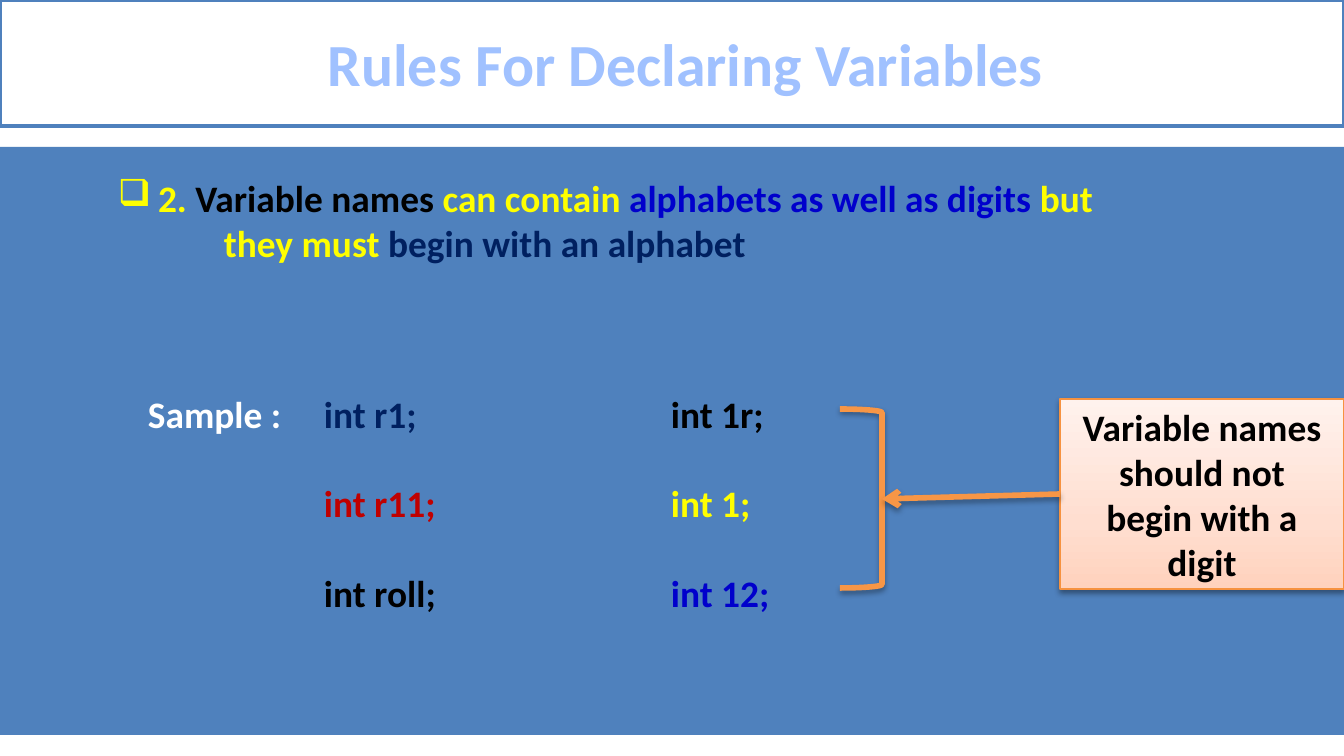
from lxml import etree
from pptx import Presentation
from pptx.dml.color import RGBColor
from pptx.enum.shapes import MSO_CONNECTOR, MSO_SHAPE
from pptx.enum.text import MSO_ANCHOR, PP_ALIGN
from pptx.oxml.ns import qn
from pptx.util import Pt

PX = 914400 / 134.4
RECTANGLE = MSO_SHAPE.RECTANGLE
BRACKET = MSO_SHAPE.RIGHT_BRACKET
STRAIGHT = MSO_CONNECTOR.STRAIGHT
CENTER, LEFT = PP_ALIGN.CENTER, PP_ALIGN.LEFT
MIDDLE, TOP = MSO_ANCHOR.MIDDLE, MSO_ANCHOR.TOP

BLUE, ORANGE, BLACK, WHITE = "4F81BD", "F79646", "000000", "FFFFFF"
YELLOW, INK, NAVY, RED = "FFFF00", "0000CC", "002060", "C00000"


def px(length):
    return round(length * PX)


def color(value):
    return RGBColor.from_string(value)


def add_element(parent, tag, **attributes):
    element = etree.SubElement(parent, qn(tag))
    for name, value in attributes.items():
        element.set(name, str(value))
    return element


class SlideBuilder:
    """Holds the text style and the slide being built."""

    def __init__(self, slide, font="Calibri", size=20):
        self.slide = slide
        self.font = font
        self.size = size

    def shape(self, kind, left, top, width, height, fill=None, line=None, weight=1):
        shape = self.slide.shapes.add_shape(kind, px(left), px(top), px(width), px(height))
        shape.shadow.inherit = False
        if fill:
            shape.fill.solid()
            shape.fill.fore_color.rgb = color(fill)
        else:
            shape.fill.background()
        if line:
            shape.line.color.rgb = color(line)
            shape.line.width = Pt(weight)
        else:
            shape.line.fill.background()
        return shape

    def shadow(self, shape, alpha):
        properties = shape._element.spPr
        effects = properties.find(qn("a:effectLst"))
        if effects is None:
            effects = add_element(properties, "a:effectLst")
        outer = add_element(effects, "a:outerShdw", blurRad=Pt(3.1), dist=Pt(1.8),
                            dir=5400000, rotWithShape=0)
        shade = add_element(outer, "a:srgbClr", val=BLACK)
        add_element(shade, "a:alpha", val=alpha * 1000)

    def gradient(self, shape, stops, angle):
        shape.fill.gradient()
        gradient = shape._element.spPr.find(qn("a:gradFill"))
        stop_list = gradient.find(qn("a:gsLst"))
        for stop in list(stop_list):
            stop_list.remove(stop)
        for position, value in stops:
            stop = add_element(stop_list, "a:gs", pos=position * 1000)
            add_element(stop, "a:srgbClr", val=value)
        gradient.find(qn("a:lin")).set("ang", str(angle * 60000))

    def fill_text(self, shape, lines, size=None, align=LEFT, anchor=TOP, gap=0):
        frame = shape.text_frame
        frame.word_wrap = True
        frame.vertical_anchor = anchor
        frame.margin_left = frame.margin_right = frame.margin_top = frame.margin_bottom = 0
        for index, runs in enumerate(lines):
            paragraph = frame.paragraphs[0] if index == 0 else frame.add_paragraph()
            paragraph.alignment = align
            if index and gap:
                paragraph.space_before = Pt(gap)
            paragraph.font.name = self.font
            paragraph.font.size = Pt(size or self.size)
            paragraph.font.bold = True
            for text, value in runs:
                run = paragraph.add_run()
                run.text = text
                run.font.color.rgb = color(value)
        return frame

    def text(self, left, top, width, height, lines, gap=0):
        box = self.slide.shapes.add_textbox(px(left), px(top), px(width), px(height))
        return self.fill_text(box, lines, gap=gap)

    def bullet(self, paragraph, indent):
        properties = paragraph._p.get_or_add_pPr()
        properties.set("marL", str(px(indent)))
        properties.set("indent", str(-px(indent)))
        character = etree.Element(qn("a:buChar"), char="❑")
        properties.insert(0, character)

    def arrow(self, start, end, value, weight):
        connector = self.slide.shapes.add_connector(STRAIGHT, *map(px, start + end))
        connector.line.color.rgb = color(value)
        connector.line.width = Pt(weight)
        add_element(connector._element.spPr.find(qn("a:ln")), "a:tailEnd", type="arrow")
        return connector


def main():
    presentation = Presentation()
    presentation.slide_width, presentation.slide_height = px(1344), px(756)
    builder = SlideBuilder(presentation.slides.add_slide(presentation.slide_layouts[6]))

    builder.shape(RECTANGLE, 0, 147, 1344, 588, BLUE)
    title = builder.shape(RECTANGLE, 0, 0, 1344, 126, WHITE, BLUE, 2)
    frame = builder.fill_text(title, [[("Rules For Declaring Variables", "A0C1FF")]],
                              32, CENTER, MIDDLE)
    frame.margin_left = px(28)

    rule = builder.text(118, 175, 1200, 90, [
        [("2. ", YELLOW), ("Variable names ", BLACK), ("can contain ", YELLOW),
         ("alphabets as well as digits ", INK), ("but", YELLOW)],
        [("they must ", YELLOW), ("begin with an alphabet", NAVY)],
    ])
    builder.bullet(rule.paragraphs[0], 40)
    rule.paragraphs[1]._p.get_or_add_pPr().set("marL", str(px(106)))

    builder.text(148, 391, 160, 45, [[("Sample :", WHITE)]])
    columns = [
        (324, [("int r1;", NAVY), ("int r11;", RED), ("int roll;", BLACK)]),
        (671, [("int 1r;", BLACK), ("int 1;", YELLOW), ("int 12;", INK)]),
    ]
    for left, declarations in columns:
        builder.text(left, 391, 160, 225, [[item] for item in declarations], gap=24)

    bracket = builder.shape(BRACKET, 840, 409, 42, 179, line=ORANGE, weight=3)
    builder.shadow(bracket, 35)

    note = builder.shape(RECTANGLE, 1060, 399, 284, 190, WHITE, "F69240", 0.75)
    builder.gradient(note, [(0, "FFD2BD"), (35, "FFDED0"), (100, "FFF2ED")], 270)
    builder.shadow(note, 38)
    words = ["Variable names", "should not", "begin with a", "digit"]
    builder.fill_text(note, [[(word, BLACK)] for word in words], align=CENTER, anchor=MIDDLE)

    arrow = builder.arrow((1060, 494), (882, 499), ORANGE, 3)
    arrow.begin_connect(note, 1)
    builder.shadow(arrow, 35)

    presentation.save("out.pptx")


if __name__ == "__main__":
    main()
